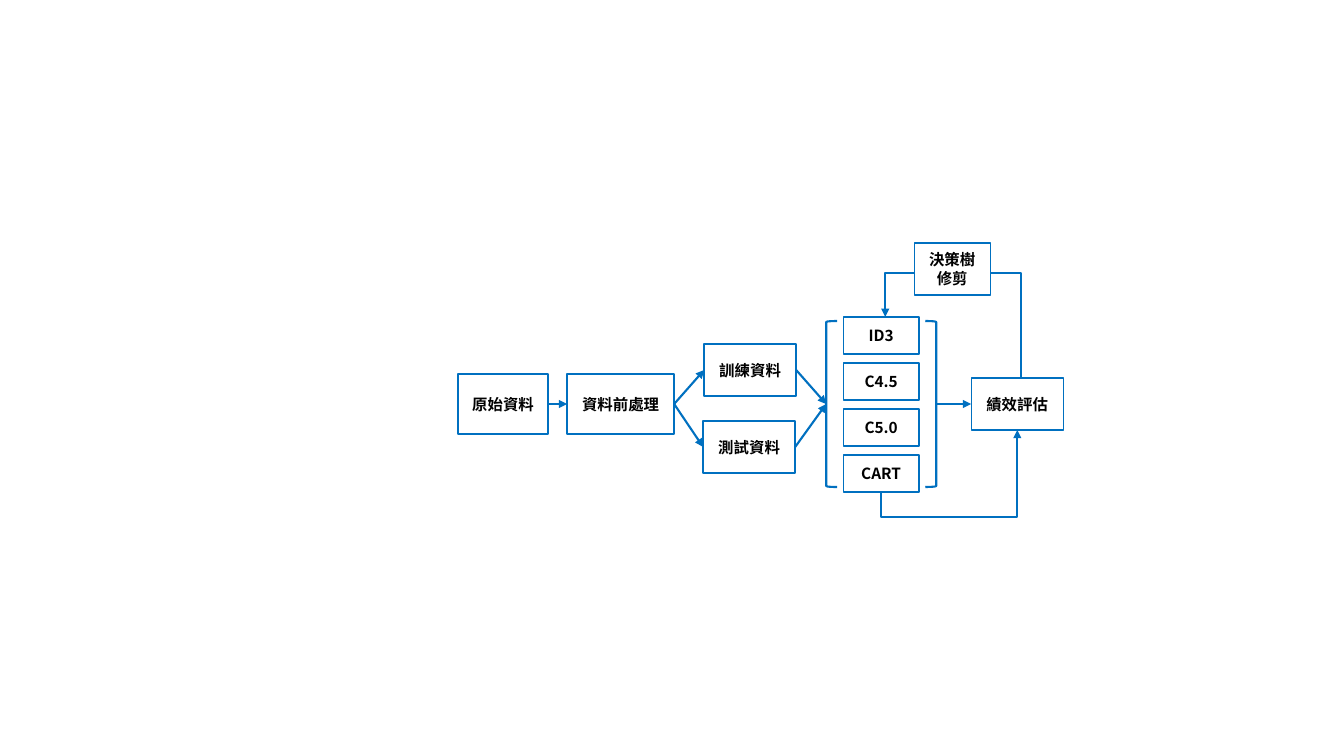
from lxml.etree import SubElement
from pptx import Presentation
from pptx.dml.color import RGBColor
from pptx.enum.shapes import MSO_CONNECTOR, MSO_SHAPE
from pptx.enum.text import MSO_ANCHOR, PP_ALIGN
from pptx.oxml.ns import qn
from pptx.util import Emu, Inches, Pt

TOP, LEFT, BOTTOM, RIGHT = range(4)


def px(n):
    """Turn pixels into EMU."""
    return Emu(round(n * 914400 / 100.8))


def color(code):
    """Turn a hex string into a colour."""
    return RGBColor.from_string(code)


def write(frame, text, size=11, font="Noto Sans CJK SC", ink="000000", bold=True):
    """Fill a text frame with centred lines."""
    frame.word_wrap = True
    frame.vertical_anchor = MSO_ANCHOR.MIDDLE
    frame.text = text
    for para in frame.paragraphs:
        para.alignment = PP_ALIGN.CENTER
        for run in para.runs:
            run.font.size, run.font.bold = Pt(size), bold
            run.font.name = font
            run.font.color.rgb = color(ink)
            SubElement(run.font._element, qn("a:ea"), typeface=font)


class Chart:
    """Draw flow chart parts on one slide in one style."""

    blue = "0070C0"

    def __init__(self, slide):
        """Keep the slide to draw on."""
        self.slide = slide

    def shape(self, kind, x, y, w, h, width):
        """Add an outlined shape."""
        item = self.slide.shapes.add_shape(kind, px(x), px(y), px(w), px(h))
        item.shadow.inherit = False
        item.fill.background()
        item.line.color.rgb = color(self.blue)
        item.line.width = Pt(width)
        return item

    def box(self, text, x, y, w, h, fill=None):
        """Add a box with its label."""
        item = self.shape(MSO_SHAPE.RECTANGLE, x, y, w, h, 1)
        if fill:
            item.fill.solid()
            item.fill.fore_color.rgb = color(fill)
        write(item.text_frame, text)
        return item

    def line(self, kind, start, end):
        """Add a connector with an arrowhead at its end."""
        points = [px(n) for n in (*start, *end)]
        item = self.slide.shapes.add_connector(kind, *points)
        item.line.color.rgb = color(self.blue)
        item.line.width = Pt(1.5)
        SubElement(item.line._get_or_add_ln(), qn("a:tailEnd"), type="triangle")
        SubElement(item._element.spPr, qn("a:effectLst"))
        return item

    def arrow(self, start, end):
        """Join two ends, each a point or a box with its side."""
        item = self.line(MSO_CONNECTOR.STRAIGHT, (0, 0), (0, 0))
        (item.begin_x, item.begin_y), (item.end_x, item.end_y) = [
            (px(a), px(b)) if isinstance(a, int) else (0, 0) for a, b in (start, end)]
        if not isinstance(start[0], int):
            item.begin_connect(*start)
        if not isinstance(end[0], int):
            item.end_connect(*end)

    def bend(self, start, end, level, turn):
        """Add an elbow arrow that leaves upright and crosses at a level."""
        (x1, y1), (x2, y2) = start, end
        sign = 1 if turn == 90 else -1
        mx, my = (x1 + x2) / 2, (y1 + y2) / 2
        dx, dy = sign * (y1 - my), sign * (mx - x1)
        item = self.line(MSO_CONNECTOR.ELBOW, (mx + dx, my + dy), (mx - dx, my - dy))
        item._element.spPr.xfrm.set("rot", str(turn * 60000))
        ratio = round((level - y1) / (y2 - y1) * 100000)
        guides = item._element.spPr.prstGeom.get_or_add_avLst()
        SubElement(guides, qn("a:gd"), name="adj1", fmla=f"val {ratio}")


def main():
    """Build the decision tree flow and save it."""
    deck = Presentation()
    deck.slide_width, deck.slide_height = Inches(13.33), Inches(7.5)
    chart = Chart(deck.slides.add_slide(deck.slide_layouts[6]))

    raw = chart.box("原始資料", 458, 374, 90, 60)
    prep = chart.box("資料前處理", 567, 374, 107, 60)
    test = chart.box("測試資料", 703, 421, 92, 52)
    train = chart.box("訓練資料", 704, 344, 92, 52)
    score = chart.box("績效評估", 971, 378, 92, 52)
    for row, name in enumerate(("ID3", "C4.5", "C5.0", "CART")):
        chart.box(name, 843, 317 + 46 * row, 76, 37)
    chart.shape(MSO_SHAPE.LEFT_BRACKET, 826, 321, 11, 166, 1.5)
    chart.shape(MSO_SHAPE.RIGHT_BRACKET, 925, 321, 11, 166, 1.5)

    chart.arrow((raw, RIGHT), (prep, LEFT))
    for data in (train, test):
        chart.arrow((prep, RIGHT), (data, LEFT))
        chart.arrow((data, RIGHT), (826, 404))
    chart.arrow((936, 404), (score, LEFT))
    chart.bend((1021, 378), (885, 317), 273, 270)
    chart.bend((881, 492), (1017, 430), 517, 90)
    chart.box("決策樹\n修剪", 914, 243, 76, 52, fill="FFFFFF")
    deck.save("out.pptx")


if __name__ == "__main__":
    main()
